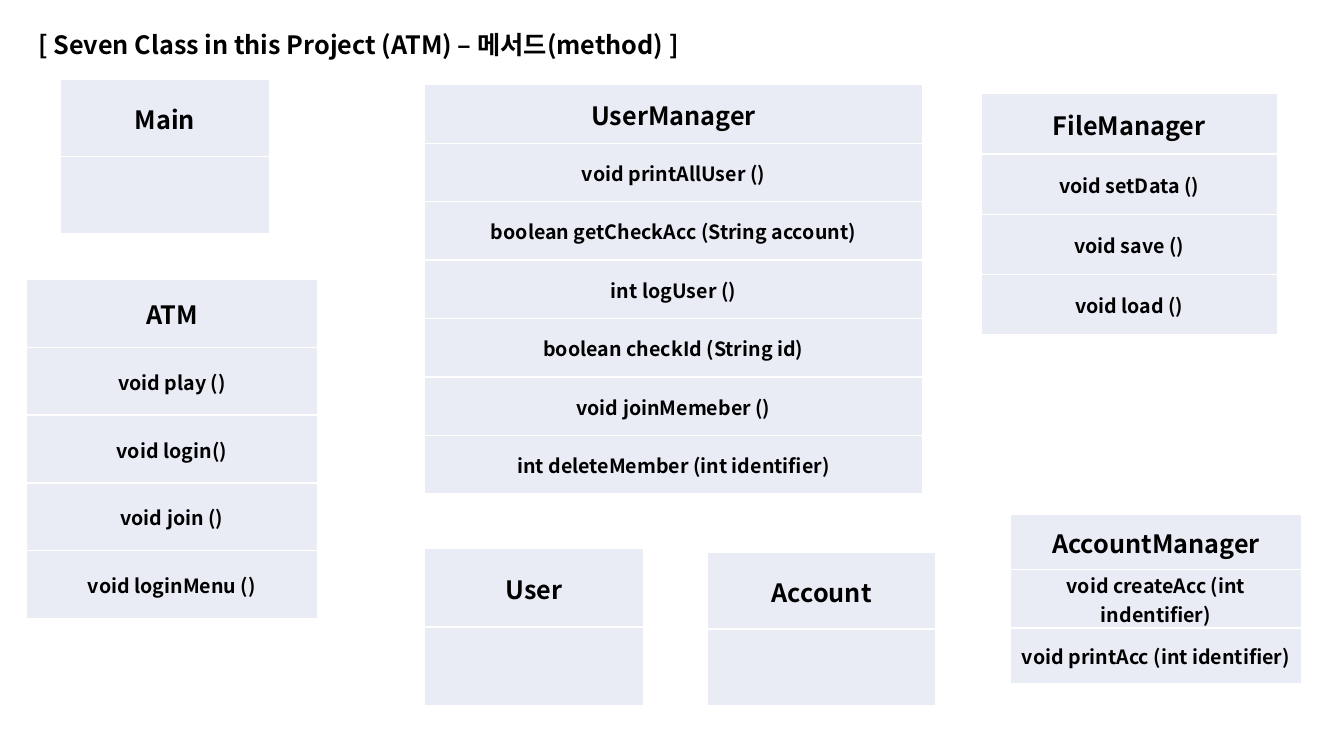
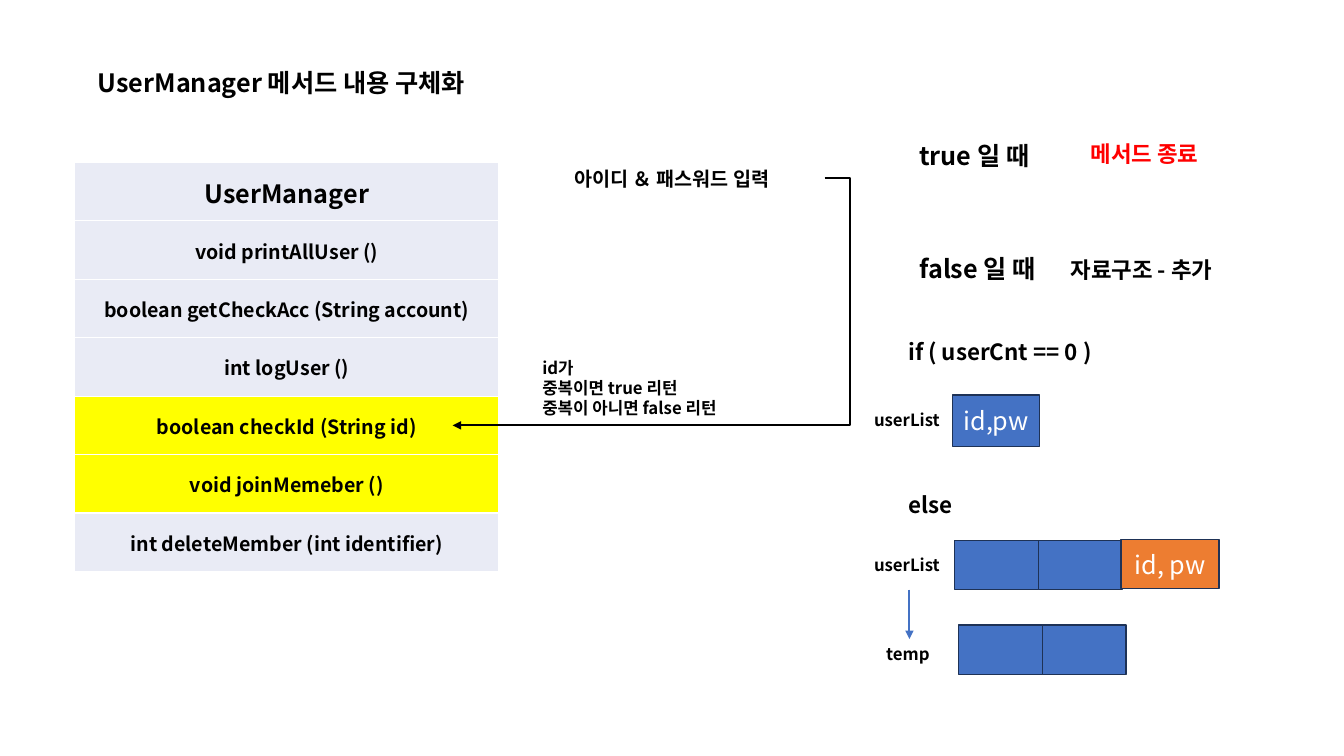
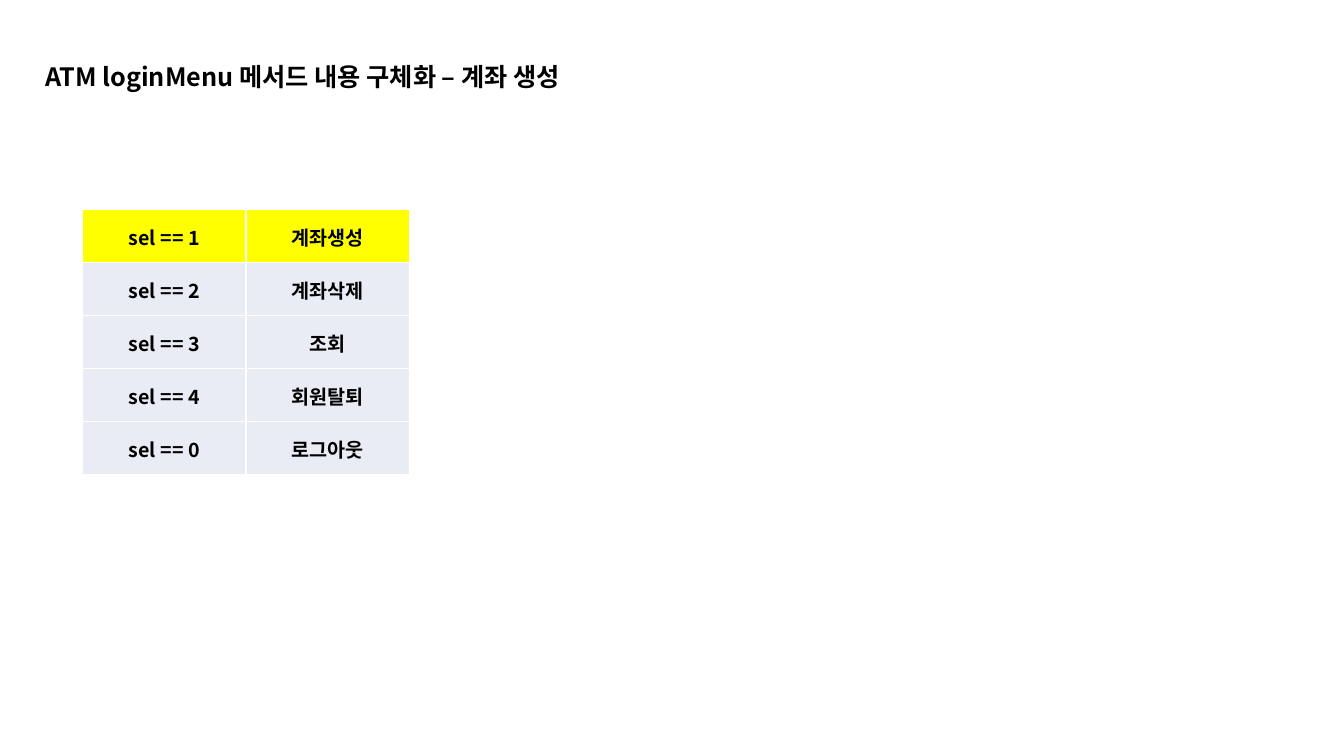
"""Build three slides on the classes and methods of an ATM project."""
from dataclasses import dataclass

from lxml import etree
from pptx import Presentation
from pptx import util as u
from pptx.dml.color import RGBColor
from pptx.enum import shapes, text
from pptx.oxml import parse_xml
from pptx.oxml.ns import nsdecls, qn


@dataclass(frozen=True)
class Theme:
    """Colours, font and type sizes shared by all slides."""
    font: str = "Noto Sans CJK KR"
    black: str = "000000"
    white: str = "FFFFFF"
    red: str = "FF0000"
    cell: str = "E9EBF5"
    highlight: str = "FFFF00"
    blue: str = "4472C4"
    orange: str = "ED7D31"
    outline: str = "1E3256"
    heading: int = 18
    label: int = 16
    body: int = 14
    small: int = 12
    line_width: float = 1.5


THEME = Theme()
TITLE_ONLY = 5
USER_MANAGER = [
    "UserManager", "void printAllUser ()", "boolean getCheckAcc (String account)",
    "int logUser ()", "boolean checkId (String id)", "void joinMemeber ()",
    "int deleteMember (int identifier)",
]


def apply_format(target, values):
    """Set each attribute of target named in values."""
    for name, value in values.items():
        setattr(target, name, value)


def rgb(code):
    """Return the colour for a hex code."""
    return RGBColor.from_string(code)


def write_text(frame, content, size, color=THEME.black, bold=True,
               align=text.PP_ALIGN.LEFT):
    """Write one paragraph for each line of content."""
    for index, line in enumerate(content.split("\n")):
        paragraph = frame.add_paragraph() if index else frame.paragraphs[0]
        paragraph.alignment = align
        run = paragraph.add_run()
        run.text = line
        apply_format(run.font, {"name": THEME.font, "size": u.Pt(size), "bold": bold})
        run.font.color.rgb = rgb(color)
        east_asian = etree.SubElement(run.font._element, qn("a:ea"))
        east_asian.set("typeface", THEME.font)


def add_titled_slide(presentation, title, left, top, width):
    """Add a slide with its title placeholder moved and formatted."""
    slide = presentation.slides.add_slide(presentation.slide_layouts[TITLE_ONLY])
    shape = slide.shapes.title
    apply_format(shape, {"left": u.Inches(left), "top": u.Inches(top),
                         "width": u.Inches(width), "height": u.Inches(0.4)})
    apply_format(shape.text_frame, {
        "word_wrap": True, "auto_size": text.MSO_AUTO_SIZE.NONE,
        "vertical_anchor": text.MSO_ANCHOR.TOP})
    write_text(shape.text_frame, title, THEME.heading)
    return slide


def add_label(slide, content, left, top, width, height, size, **style):
    """Add a wrapped text box."""
    shape = slide.shapes.add_textbox(*map(u.Inches, (left, top, width, height)))
    shape.text_frame.word_wrap = True
    write_text(shape.text_frame, content, size, **style)


def add_box(slide, left, top, width, height, fill=THEME.blue, content=""):
    """Add an outlined rectangle with optional centred text."""
    shape = slide.shapes.add_shape(shapes.MSO_SHAPE.RECTANGLE,
                                   *map(u.Inches, (left, top, width, height)))
    shape.shadow.inherit = False
    shape.fill.solid()
    shape.fill.fore_color.rgb = rgb(fill)
    shape.line.color.rgb = rgb(THEME.outline)
    shape.line.width = u.Pt(1)
    if content:
        shape.text_frame.vertical_anchor = text.MSO_ANCHOR.MIDDLE
        write_text(shape.text_frame, content, THEME.heading, color=THEME.white,
                   bold=False, align=text.PP_ALIGN.CENTER)


def add_box_pair(slide, left, top):
    """Add two adjoining list slots."""
    for column in range(2):
        add_box(slide, left + column * 0.83, top, 0.83, 0.49)


def add_arrow(slide, kind, start, end, color, bend=None):
    """Add a connector with an arrowhead at its end."""
    connector = slide.shapes.add_connector(kind, *map(u.Inches, (*start, *end)))
    connector.line.color.rgb = rgb(color)
    connector.line.width = u.Pt(THEME.line_width)
    properties = connector._element.spPr
    etree.SubElement(properties.find(qn("a:ln")), qn("a:tailEnd")).set("type", "triangle")
    etree.SubElement(properties, qn("a:effectLst"))
    if bend is not None:
        guide = etree.SubElement(properties.find(qn("a:prstGeom")).find(qn("a:avLst")),
                                 qn("a:gd"))
        guide.set("name", "adj1")
        guide.set("fmla", f"val {round(bend * 100000)}")


def format_cell(cell, content, size, fill):
    """Format one table cell with white borders."""
    apply_format(cell, {
        "margin_left": u.Inches(0.01), "margin_right": u.Inches(0.01),
        "margin_top": u.Inches(0.01), "margin_bottom": 0,
        "vertical_anchor": text.MSO_ANCHOR.MIDDLE})
    if content:
        write_text(cell.text_frame, content, size, align=text.PP_ALIGN.CENTER)
    properties = cell._tc.get_or_add_tcPr()
    for side in ("lnL", "lnR", "lnT", "lnB"):
        properties.append(parse_xml(
            f'<a:{side} {nsdecls("a")} w="12700"><a:solidFill>'
            f'<a:srgbClr val="{THEME.white}"/></a:solidFill></a:{side}>'))
    cell.fill.solid()
    cell.fill.fore_color.rgb = rgb(fill)


def add_grid(slide, rows, left, top, width, height, highlighted=(), header=True):
    """Add a table of equal rows and columns, some rows highlighted."""
    frame = slide.shapes.add_table(len(rows), len(rows[0]),
                                   *map(u.Inches, (left, top, width, height)))
    table = frame.table
    apply_format(table, {"first_row": False, "horz_banding": False})
    for row, contents in enumerate(rows):
        size = THEME.heading if header and row == 0 else THEME.body
        fill = THEME.highlight if row in highlighted else THEME.cell
        for column, content in enumerate(contents):
            format_cell(table.cell(row, column), content, size, fill)


def add_class(slide, lines, left, top, width, height, highlighted=()):
    """Add a class table: its name above its methods."""
    add_grid(slide, [[line] for line in lines], left, top, width, height, highlighted)


def build_class_overview(presentation):
    """Show the seven classes with their methods."""
    slide = add_titled_slide(
        presentation, "[ Seven Class in this Project (ATM) – 메서드(method) ]", 0.28, 0.24, 6.75)
    classes = [
        (["Main", ""], 0.6, 0.79, 2.07, 1.53),
        (["ATM", "void play ()", "void login()", "void join ()", "void loginMenu ()"],
         0.26, 2.77, 2.89, 3.37),
        (USER_MANAGER, 4.21, 0.84, 4.94, 4.06),
        (["User", ""], 4.21, 5.44, 2.17, 1.56),
        (["Account", ""], 7.02, 5.48, 2.26, 1.52),
        (["AccountManager", "void createAcc (int indentifier)",
          "void printAcc (int identifier)"], 10.02, 5.1, 2.89, 1.66),
        (["FileManager", "void setData ()", "void save ()", "void load ()"],
         9.73, 0.93, 2.94, 2.39),
    ]
    for lines, *place in classes:
        add_class(slide, lines, *place)


def build_user_manager(presentation):
    """Show how a member joins through UserManager."""
    slide = add_titled_slide(presentation, "UserManager 메서드 내용 구체화", 0.87, 0.62, 4.66)
    add_class(slide, USER_MANAGER, 0.74, 1.61, 4.21, 4.06, highlighted=(4, 5))
    add_label(slide, "아이디 ＆ 패스워드 입력", 5.15, 1.61, 3.03, 0.34, THEME.body,
              align=text.PP_ALIGN.CENTER)
    add_arrow(slide, shapes.MSO_CONNECTOR.ELBOW, (8.18, 1.77), (4.49, 4.22),
              THEME.black, bend=-0.068)
    add_label(slide, "메서드 종료", 10.72, 1.34, 2.47, 0.37, THEME.label, color=THEME.red)
    labels = [
        ("id가\n중복이면 true 리턴\n중복이 아니면 false 리턴", 5.28, 3.5, 3.41, 0.71, THEME.small),
        ("true 일 때", 9.02, 1.34, 1.96, 0.4, THEME.heading),
        ("false 일 때", 9.02, 2.46, 1.6, 0.4, THEME.heading),
        ("자료구조 - 추가", 10.52, 2.49, 2.29, 0.37, THEME.label),
        ("if ( userCnt == 0 )", 8.91, 3.31, 2.25, 0.37, THEME.label),
        ("else", 8.91, 4.82, 2.25, 0.37, THEME.label),
        ("userList", 8.57, 4.02, 0.92, 0.3, THEME.small),
        ("userList", 8.57, 5.45, 0.92, 0.3, THEME.small),
        ("temp", 8.69, 6.34, 0.92, 0.3, THEME.small),
    ]
    for label in labels:
        add_label(slide, *label)
    add_box(slide, 9.45, 3.92, 0.86, 0.51, content="id,pw")
    add_box_pair(slide, 9.47, 5.36)
    add_box_pair(slide, 9.51, 6.2)
    add_arrow(slide, shapes.MSO_CONNECTOR.STRAIGHT, (9.02, 5.85), (9.02, 6.34), THEME.blue)
    add_box(slide, 11.12, 5.35, 0.97, 0.49, fill=THEME.orange, content="id, pw")


def build_login_menu(presentation):
    """Show the choices of the login menu."""
    slide = add_titled_slide(
        presentation, "ATM loginMenu 메서드 내용 구체화 – 계좌 생성", 0.35, 0.56, 6.67)
    choices = [(1, "계좌생성"), (2, "계좌삭제"), (3, "조회"), (4, "회원탈퇴"), (0, "로그아웃")]
    add_grid(slide, [[f"sel == {number}", action] for number, action in choices],
             0.82, 2.08, 3.24, 2.63, highlighted=(0,), header=False)


def main():
    """Build and save the presentation."""
    presentation = Presentation()
    apply_format(presentation, {"slide_width": u.Inches(13.33),
                                "slide_height": u.Inches(7.5)})
    build_class_overview(presentation)
    build_user_manager(presentation)
    build_login_menu(presentation)
    presentation.save("out.pptx")


if __name__ == "__main__":
    main()
